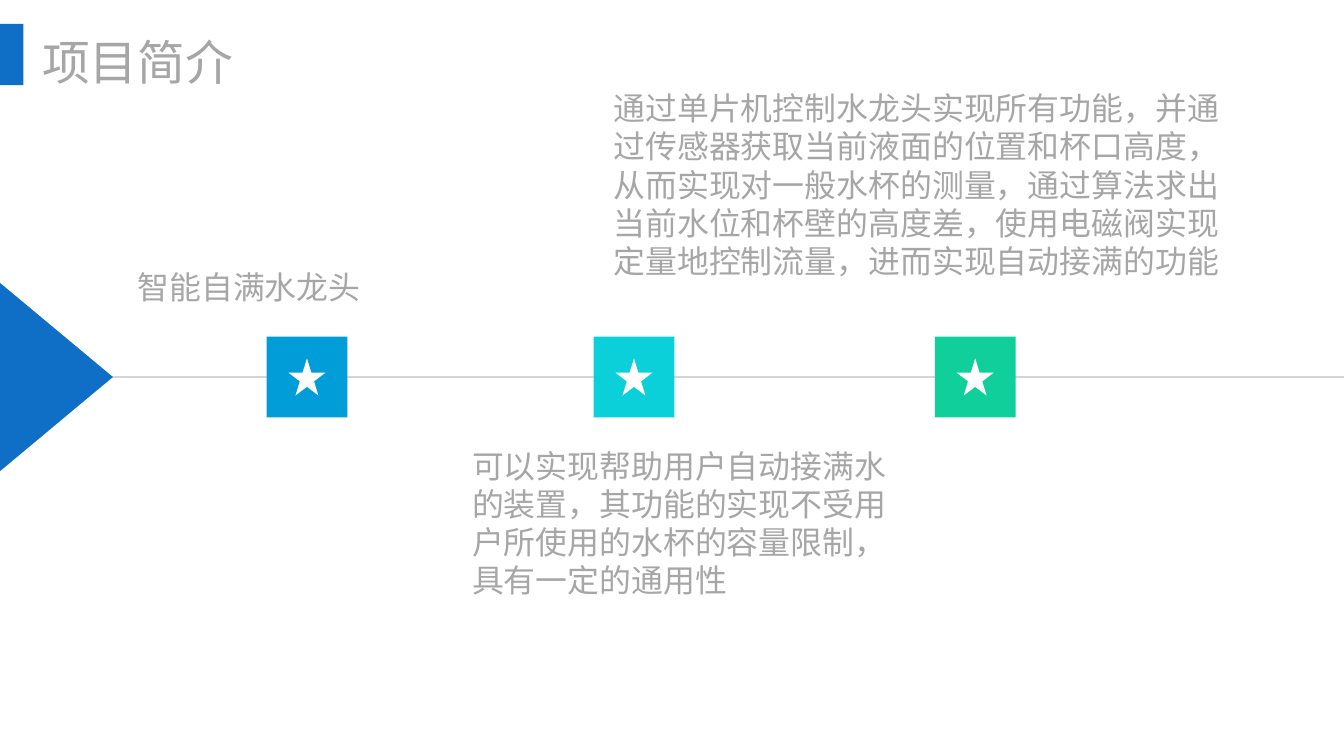
from pptx import Presentation
from pptx.dml.color import RGBColor
from pptx.enum.shapes import MSO_CONNECTOR, MSO_SHAPE
from pptx.enum.text import MSO_ANCHOR, MSO_AUTO_SIZE, PP_ALIGN
from pptx.oxml.ns import qn
from pptx.util import Inches, Pt
from lxml import etree

RECT = MSO_SHAPE.RECTANGLE
STAR = MSO_SHAPE.STAR_5_POINT
WEDGE = MSO_SHAPE.ISOSCELES_TRIANGLE
LINE = MSO_CONNECTOR.STRAIGHT
TOP = MSO_ANCHOR.TOP
LEFT = PP_ALIGN.LEFT
FIXED = MSO_AUTO_SIZE.NONE

BLUE = RGBColor(0x0F, 0x6F, 0xC6)
SKY = RGBColor(0x00, 0x9D, 0xD9)
CYAN = RGBColor(0x0B, 0xD0, 0xD9)
GREEN = RGBColor(0x10, 0xCF, 0x9B)
WHITE = RGBColor(0xFF, 0xFF, 0xFF)
GREY = RGBColor(0xA6, 0xA6, 0xA6)
PALE = RGBColor(0xD5, 0xD5, 0xD5)

FONT = "Noto Sans CJK SC"
WIDE, TALL = Inches(14.06), Inches(7.91)
COL, ROW = WIDE / 100, TALL / 100

BADGES = [(19.84, SKY), (44.17, CYAN), (69.56, GREEN)]
NOTES = [
    ((9.53, 34.39, 17.99, 6.32), False, "智能自满水龙头"),
    ((34.42, 58.03, 34.07, 21.74), True,
     "可以实现帮助用户自动接满水的装置，其功能的实现不受用户所使用的水杯的容量限制，具有一定的通用性"),
    ((44.95, 10.75, 47.08, 26.8), True,
     "通过单片机控制水龙头实现所有功能，并通过传感器获取当前液面的位置和杯口高度，"
     "从而实现对一般水杯的测量，通过算法求出当前水位和杯壁的高度差，"
     "使用电磁阀实现定量地控制流量，进而实现自动接满的功能"),
]


def grid(left, top, wide, tall):
    return int(left * COL), int(top * ROW), int(wide * COL), int(tall * ROW)


def block(slide, kind, box, fill):
    shape = slide.shapes.add_shape(kind, *map(int, box))
    shape.shadow.inherit = False
    shape.fill.solid()
    shape.fill.fore_color.rgb = fill
    shape.line.fill.background()
    return shape


def write(shape, text, size, wrap, side, top):
    frame = shape.text_frame
    frame.word_wrap = wrap
    frame.auto_size = FIXED
    frame.vertical_anchor = TOP
    frame.margin_left = frame.margin_right = Inches(side)
    frame.margin_top, frame.margin_bottom = Inches(top), 0
    para = frame.paragraphs[0]
    para.alignment = LEFT
    para.line_spacing = Pt(size * 1.2)
    para.space_before = Pt(0)
    run = para.add_run()
    run.text = text
    run.font.name = FONT
    run.font.size = Pt(size)
    run.font.color.rgb = GREY
    east = etree.SubElement(run.font._element, qn("a:ea"))
    east.set("typeface", FONT)


def header(slide, box):
    left, top, wide, tall = box
    block(slide, RECT, (left, top, wide * 0.1, tall), BLUE)
    title = slide.shapes.title
    title.left, title.top = int(left + wide * 0.18), int(top + tall * 0.06)
    title.width, title.height = int(wide * 0.82), int(tall * 0.95)
    write(title, "项目简介", 36, False, 0, 0.05)


def badge(slide, box, fill):
    left, top, side, _ = box
    block(slide, RECT, box, fill)
    gap = side * 0.27
    star = side - 2 * gap
    block(slide, STAR, (left + gap, top + gap, star, star), WHITE)


def track(slide, box):
    left, top, wide, tall = box
    mid = top + tall // 2
    tip = int(wide * 0.08)
    deep = int(wide * 0.084)
    wedge = block(slide, WEDGE,
                  (left + (deep - tall) / 2, mid - deep / 2, tall, deep), BLUE)
    wedge.rotation = 90
    rail = slide.shapes.add_connector(LINE, left + tip, mid, left + wide, mid)
    rail.line.color.rgb = PALE
    rail.line.width = Pt(1)
    etree.SubElement(rail._element.spPr, qn("a:effectLst"))
    slide.shapes._spTree.remove(wedge._element)
    slide.shapes._spTree.append(wedge._element)
    side = wide * 0.06
    for col, fill in BADGES:
        badge(slide, (left + col * COL, mid - side / 2, side, side), fill)


def note(slide, box, wrap, text):
    write(slide.shapes.add_textbox(*box), text, 24, wrap, 0.1, 0.08)


def main():
    deck = Presentation()
    deck.slide_width, deck.slide_height = WIDE, TALL
    slide = deck.slides.add_slide(deck.slide_layouts[5])
    track(slide, grid(0, 37.42, 100, 24.9))
    for box, wrap, text in NOTES:
        note(slide, grid(*box), wrap, text)
    header(slide, grid(0, 3.16, 17.4, 8.09))
    deck.save("out.pptx")


if __name__ == "__main__":
    main()
